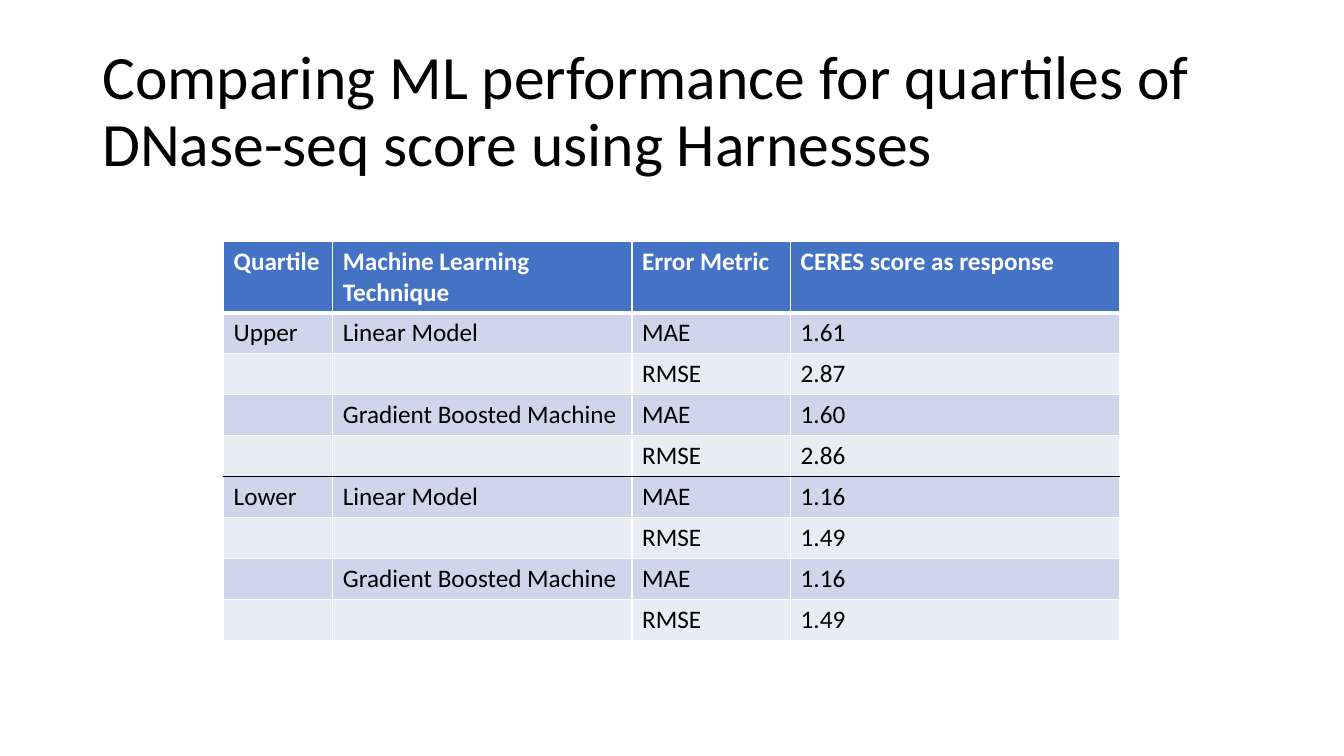
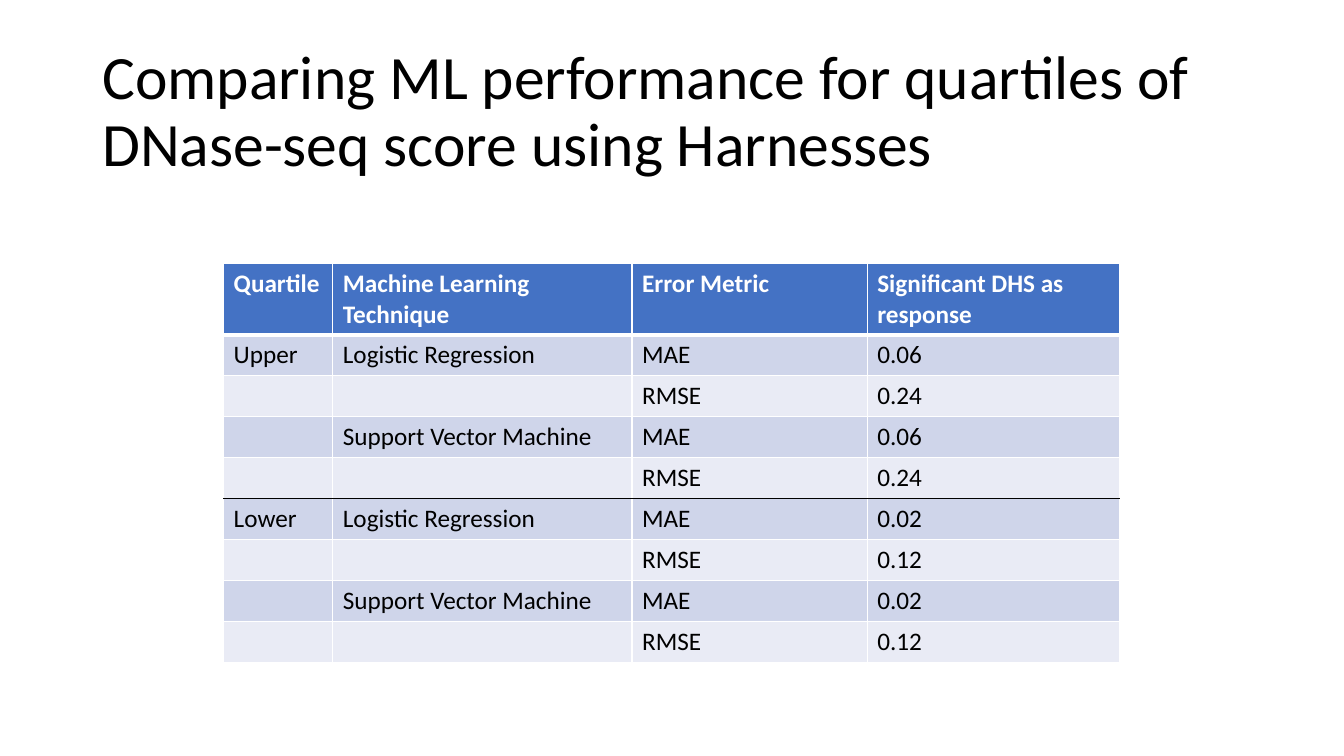
from lxml.etree import SubElement
from pptx import Presentation
from pptx.dml.color import RGBColor
from pptx.enum.text import MSO_ANCHOR
from pptx.oxml.ns import qn
from pptx.util import Emu, Pt

COLORS = {
    "text": "000000",
    "header": "4472C4",
    "header_text": "FFFFFF",
    "odd_row": "CFD5EA",
    "even_row": "E9EBF5",
    "grid": "FFFFFF",
    "divider": "000000",
}
FONT = "Calibri"
TITLE = "Comparing ML performance for quartiles of DNase-seq score using Harnesses"
TITLE_BOX = (88, 38, 1104, 139)
TABLE_LEFT = 213
HEADER_H, ROW_H = 68, 39
LOWER_ROW = 5
SLIDES = [
    {
        "top": 230,
        "widths": (104, 285, 151, 313),
        "response": "CERES score as response",
        "techniques": ("Linear Model", "Gradient Boosted Machine"),
        "scores": ("1.61", "2.87", "1.60", "2.86", "1.16", "1.49", "1.16", "1.49"),
    },
    {
        "top": 251,
        "widths": (104, 285, 224, 240),
        "response": "Significant DHS as response",
        "techniques": ("Logistic Regression", "Support Vector Machine"),
        "scores": ("0.06", "0.24", "0.06", "0.24", "0.02", "0.12", "0.02", "0.12"),
    },
]


def px(n):
    """Turn pixels into EMU."""
    return Emu(n * 9525)


def color(name):
    """Look up a named colour."""
    return RGBColor.from_string(COLORS[name])


def style_text(p, size, name, bold=False):
    """Set the font of a whole paragraph."""
    p.font.name = FONT
    p.font.size = Pt(size)
    p.font.bold = bold
    p.font.color.rgb = color(name)


def add_title(s, box):
    """Place the shared title in the given box."""
    tf = s.shapes.add_textbox(*map(px, box)).text_frame
    tf.word_wrap = True
    tf.vertical_anchor = MSO_ANCHOR.MIDDLE
    p = tf.paragraphs[0]
    p.text = TITLE
    p.line_spacing = 0.9
    style_text(p, 44, "text")


def add_border(cell, side, name, width):
    """Draw one side of a cell."""
    ln = SubElement(cell._tc.get_or_add_tcPr(), qn(f"a:ln{side}"), w=str(Pt(width)))
    fill = SubElement(ln, qn("a:solidFill"))
    SubElement(fill, qn("a:srgbClr"), val=COLORS[name])


def edge(row):
    """Give the colour and width of the line above a row."""
    if row == 1:
        return "grid", 3
    return ("divider" if row == LOWER_ROW else "grid"), 1


def style_cell(cell, row):
    """Set the borders, fill and font of a cell by its row."""
    for side, line in zip("LRTB", (("grid", 1), ("grid", 1), edge(row), edge(row + 1))):
        add_border(cell, side, *line)
    cell.fill.solid()
    band = "odd_row" if row % 2 else "even_row"
    cell.fill.fore_color.rgb = color(band if row else "header")
    style_text(cell.text_frame.paragraphs[0], 18, "text" if row else "header_text", not row)


def score_rows(techniques, scores):
    """List the body rows, naming each group on its first row only."""
    rows = []
    for i, score in enumerate(scores):
        quartile = ("Upper", "Lower")[i // 4] if i % 4 == 0 else ""
        technique = techniques[i // 2 % 2] if i % 2 == 0 else ""
        rows.append((quartile, technique, ("MAE", "RMSE")[i % 2], score))
    return rows


def add_score_table(s, left, top, widths, response, techniques, scores):
    """Place the table of errors at the given corner."""
    header = ("Quartile", "Machine Learning Technique", "Error Metric", response)
    rows = [header] + score_rows(techniques, scores)
    height = HEADER_H + ROW_H * len(scores)
    table = s.shapes.add_table(
        len(rows), len(widths), px(left), px(top), px(sum(widths)), px(height)
    ).table
    for column, width in zip(table.columns, widths):
        column.width = px(width)
    for r, values in enumerate(rows):
        table.rows[r].height = px(ROW_H if r else HEADER_H)
        for c, value in enumerate(values):
            cell = table.cell(r, c)
            cell.text = value
            style_cell(cell, r)


def main():
    """Build and save the slides."""
    prs = Presentation()
    prs.slide_width, prs.slide_height = px(1280), px(720)
    for content in SLIDES:
        s = prs.slides.add_slide(prs.slide_layouts[6])
        add_title(s, TITLE_BOX)
        add_score_table(s, TABLE_LEFT, **content)
    prs.save("out.pptx")


if __name__ == "__main__":
    main()
